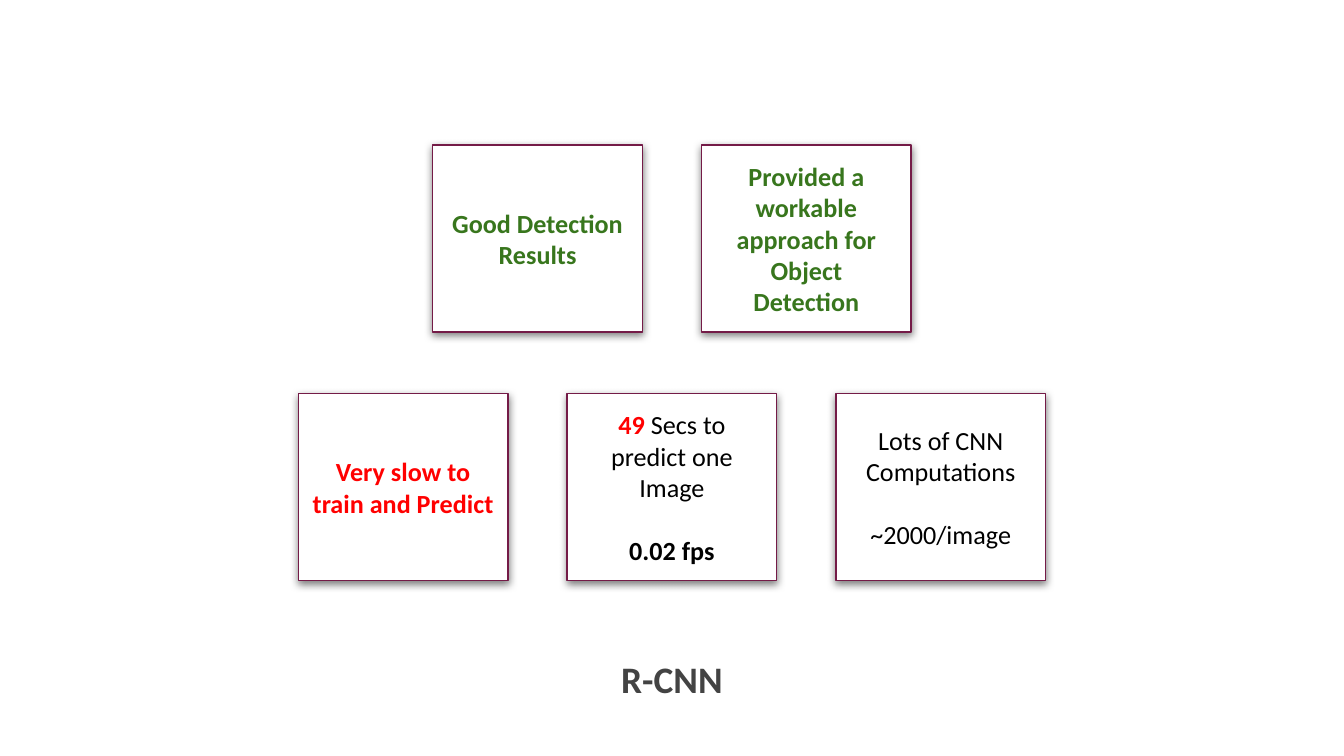
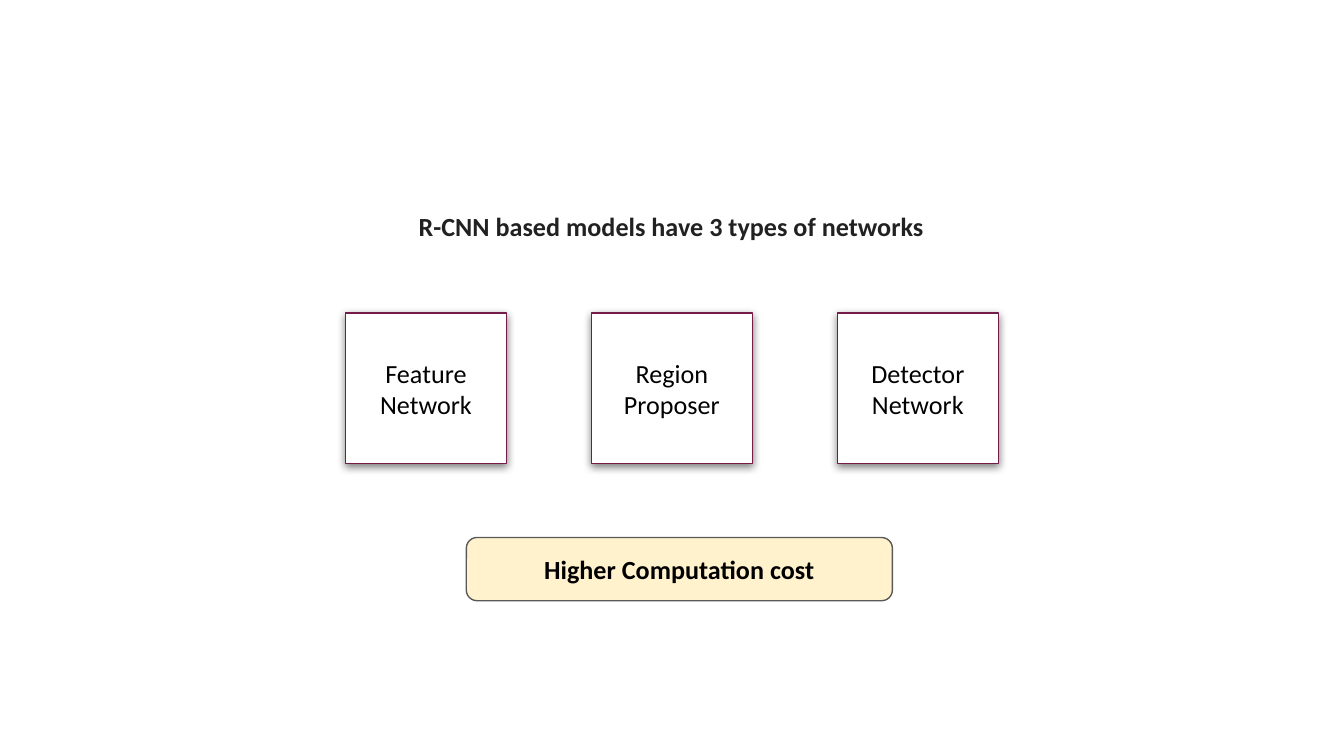
"""Builds two slides on R-CNN: its results and its three networks."""
from lxml.etree import SubElement
from pptx import Presentation
from pptx.dml.color import RGBColor
from pptx.enum.shapes import MSO_SHAPE as SHAPE
from pptx.enum.text import MSO_ANCHOR as ANCHOR, MSO_AUTO_SIZE as AUTO_SIZE, PP_ALIGN as ALIGN
from pptx.oxml.ns import qn
from pptx.util import Inches, Pt

BLACK, RED, GREEN = "000000", "FF0000", "38761D"
WHITE, PLUM, CREAM, GREY = "FFFFFF", "741B47", "FFF2CC", "595959"
FRAME = {
    "word_wrap": True,
    "auto_size": AUTO_SIZE.NONE,
    "margin_left": Inches(0.1),
    "margin_right": Inches(0.1),
    "margin_top": Inches(0.1),
    "margin_bottom": Inches(0.1),
}


def write(box, paragraphs, size=14, anchor=ANCHOR.MIDDLE):
    """Fill a box with centred paragraphs of (text, colour, bold) spans."""
    frame = box.text_frame
    for name, value in FRAME.items():
        setattr(frame, name, value)
    frame.vertical_anchor = anchor
    for index, spans in enumerate(paragraphs):
        para = frame.add_paragraph() if index else frame.paragraphs[0]
        para.alignment = ALIGN.CENTER
        if index:
            para.space_before = Pt(17)
        for text, colour, bold in spans:
            span = para.add_run()
            span.text = text
            for name, value in {"name": "Calibri", "size": Pt(size), "bold": bold}.items():
                setattr(span.font, name, value)
            span.font.color.rgb = RGBColor.from_string(colour)


def add_box(page, place, paragraphs, kind=SHAPE.RECTANGLE, fill=WHITE, line=PLUM, shadow=True):
    """Add an outlined box with text and, if wanted, a soft shadow below it."""
    box = page.shapes.add_shape(kind, *map(Inches, place))
    box.fill.solid()
    box.fill.fore_color.rgb = RGBColor.from_string(fill)
    box.line.color.rgb = RGBColor.from_string(line)
    box.line.width = Pt(0.75)
    box.shadow.inherit = False
    if shadow:
        effects = box._element.spPr.find(qn("a:effectLst"))
        outer = SubElement(effects, qn("a:outerShdw"), blurRad=str(Pt(4.5)), dist=str(Pt(1.5)),
                           dir="5400000", algn="bl", rotWithShape="0")
        tint = SubElement(outer, qn("a:srgbClr"), val=BLACK)
        SubElement(tint, qn("a:alpha"), val="50000")
    write(box, paragraphs)
    return box


deck = Presentation()
deck.slide_width = Inches(10)
deck.slide_height = deck.slide_width * 9 // 16

titles = [
    ("R-CNN", (2.57, 4.78, 4.86, 0.56), "434343", 20, ANCHOR.TOP),
    ("R-CNN based models have 3 types of networks", (2.45, 1.36, 5.09, 0.65), "212121", 14,
     ANCHOR.MIDDLE),
]
pages = []
for text, place, colour, size, anchor in titles:
    page = deck.slides.add_slide(deck.slide_layouts[5])
    title = page.shapes.title
    title.left, title.top, title.width, title.height = map(Inches, place)
    write(title, [[(text, colour, True)]], size, anchor)
    pages.append(page)
results_page, networks_page = pages

result_rows = [
    (3.22, 1.08, [
        [[("Good Detection Results", GREEN, True)]],
        [[("Provided a workable approach for Object Detection", GREEN, True)]],
    ]),
    (2.22, 2.93, [
        [[("Very slow to train and Predict", RED, True)]],
        [[("49", RED, True), (" Secs to predict one Image", BLACK, False)],
         [("0.02 fps", BLACK, True)]],
        [[("Lots of CNN Computations", BLACK, False)], [("~2000/image", BLACK, False)]],
    ]),
]
for left, top, cards in result_rows:
    for column, paragraphs in enumerate(cards):
        add_box(results_page, (left + column * 2, top, 1.56, 1.39), paragraphs)

for column, network in enumerate(["Feature Network", "Region Proposer", "Detector Network"]):
    add_box(networks_page, (2.57 + column * 1.83, 2.33, 1.2, 1.12), [[(network, BLACK, False)]])

cost = add_box(networks_page, (3.47, 4, 3.17, 0.47), [[("Higher Computation cost", BLACK, True)]],
               SHAPE.ROUNDED_RECTANGLE, CREAM, GREY, shadow=False)
cost.adjustments[0] = 0.17

deck.save("out.pptx")
